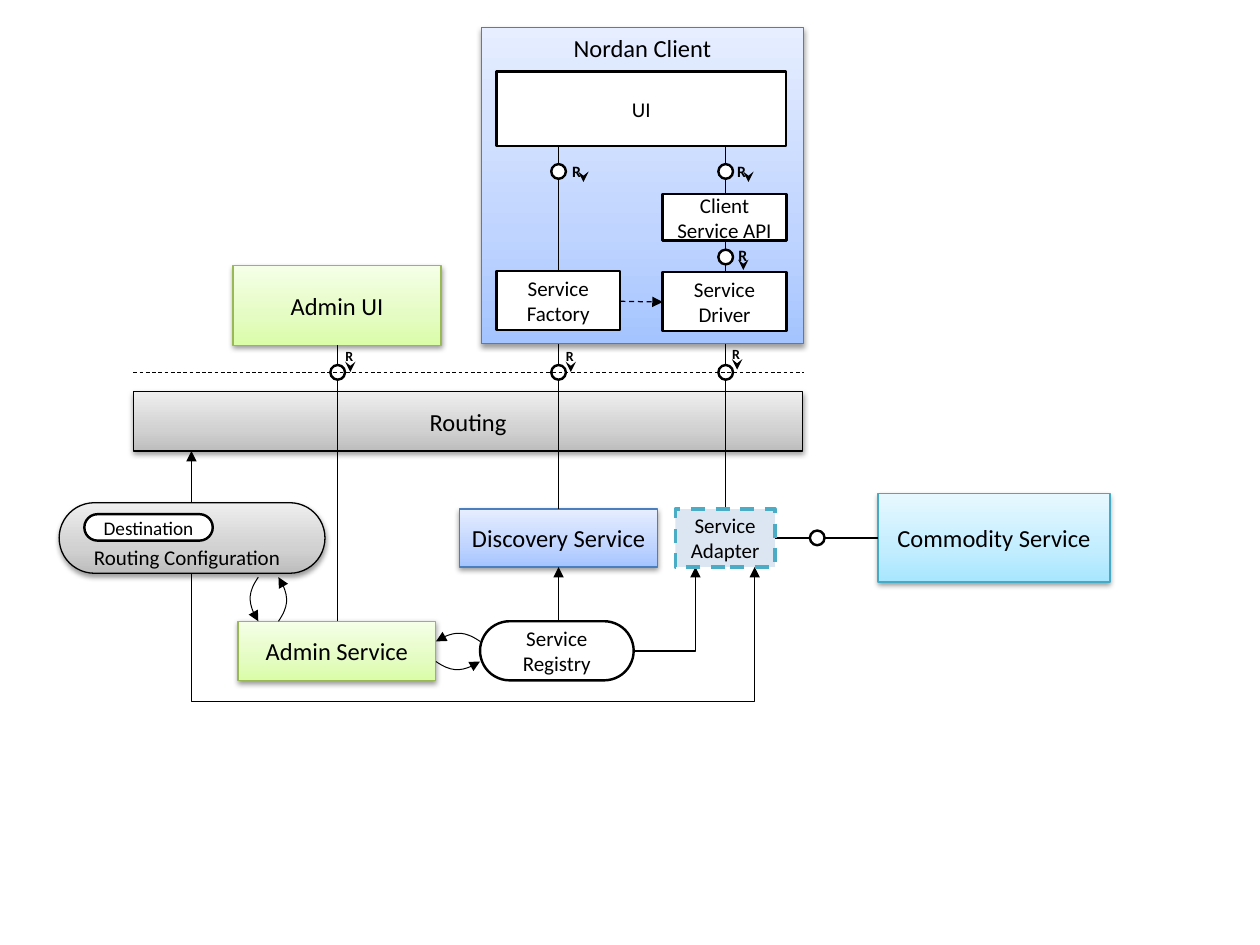
from dataclasses import dataclass
from math import hypot

from lxml.etree import SubElement
from pptx import Presentation
from pptx.dml.color import RGBColor
from pptx.enum.dml import MSO_LINE
from pptx.enum.shapes import MSO_CONNECTOR, MSO_SHAPE as Preset
from pptx.enum.text import MSO_ANCHOR as Anchor, PP_ALIGN as Align
from pptx.oxml.ns import qn
from pptx.util import Pt


@dataclass(frozen=True)
class Theme:
    font: str = "Calibri"
    ink: str = "000000"
    white: str = "FFFFFF"
    pale: str = "DCE6F2"
    teal: str = "4BACC6"
    # Gradient stops from bottom to top, then the outline
    gray: tuple = ("BDBDBD", "D1D1D1", "EEEEEE", "000000")
    green: tuple = ("DAFDA7", "E4FCC2", "F5FFE7", "98B955")
    cyan: tuple = ("A7E6FF", "C1EDFF", "E7F8FF", "46AAC5")
    blue: tuple = ("A4C4FF", "BFD4FF", "E6EEFF", "4B7EBC")
    title: int = 14
    label: int = 12
    small: int = 11
    request: int = 9
    request_small: int = 8
    thin: float = 0.7
    port: float = 1.4


class Diagram:
    port_radius = 4.2

    def __init__(self, page, theme):
        self.shapes = page.shapes
        self.theme = theme

    def set_text(self, box, text, size, bold=False, align=Align.CENTER):
        para = box.text_frame.paragraphs[0]
        para.text = text
        para.alignment = align
        font = para.font
        font.name, font.size, font.bold = self.theme.font, Pt(size), bold
        font.color.rgb = RGBColor.from_string(self.theme.ink)

    def inset(self, box, margin):
        frame = box.text_frame
        frame.margin_left = frame.margin_right = Pt(margin)
        frame.margin_top = frame.margin_bottom = Pt(margin)

    def stroke(self, item, color, width, dash=None, arrow=None):
        item.line.color.rgb = RGBColor.from_string(color)
        item.line.width = Pt(width)
        if dash:
            item.line.dash_style = dash
        if arrow:
            outline = item._element.spPr.find(qn("a:ln"))
            SubElement(outline, qn("a:tailEnd"), type=arrow)

    def box(self, left, top, width, height, text="", size=None, fill=None,
            line=None, weight=1.5, dash=None, preset=Preset.RECTANGLE):
        theme = self.theme
        box = self.shapes.add_shape(preset, Pt(left), Pt(top), Pt(width), Pt(height))
        box.shadow.inherit = False
        box.fill.solid()
        box.fill.fore_color.rgb = RGBColor.from_string(fill or theme.white)
        self.stroke(box, line or theme.ink, weight, dash)
        if preset == Preset.ROUNDED_RECTANGLE:
            box.adjustments[0] = 0.5
        if text:
            self.inset(box, 2.9)
            self.set_text(box, text, size or theme.label)
        return box

    def panel(self, left, top, width, height, text, palette, preset=Preset.RECTANGLE):
        """Box with a vertical gradient and a soft shadow."""
        *colors, line = palette
        box = self.box(left, top, width, height, text, self.theme.title,
                       line=line, weight=0.75, preset=preset)
        box.fill.gradient()
        box.fill.gradient_angle = 90
        properties = box._element.spPr
        stops = properties.find(qn("a:gradFill")).find(qn("a:gsLst"))
        stops.clear()
        for position, color in zip((0, 35000, 100000), colors):
            stop = SubElement(stops, qn("a:gs"), pos=str(position))
            SubElement(stop, qn("a:srgbClr"), val=color)
        shadow = SubElement(properties.find(qn("a:effectLst")), qn("a:outerShdw"),
                            blurRad=str(Pt(3.1)), dist=str(Pt(1.6)),
                            dir="5400000", rotWithShape="0")
        shade = SubElement(shadow, qn("a:srgbClr"), val=self.theme.ink)
        SubElement(shade, qn("a:alpha"), val="38000")
        return box

    def caption(self, left, top, width, height, text, size, margin=None, **style):
        box = self.shapes.add_textbox(Pt(left), Pt(top), Pt(width), Pt(height))
        box.text_frame.word_wrap = True
        if margin is not None:
            self.inset(box, margin)
        self.set_text(box, text, size, **style)

    def line(self, start, end, arrow=None, dash=None, width=None,
             kind=MSO_CONNECTOR.STRAIGHT):
        line = self.shapes.add_connector(kind, *map(Pt, (*start, *end)))
        self.stroke(line, self.theme.ink, width or self.theme.thin, dash, arrow)
        SubElement(line._element.spPr, qn("a:effectLst"))
        return line

    def corner(self, start, end):
        """Arrow that runs across, then turns once."""
        line = self.line(start, end, "triangle", kind=MSO_CONNECTOR.ELBOW)
        line._element.spPr.find(qn("a:prstGeom")).set("prst", "bentConnector2")

    def detour(self, start, end, low):
        """Arrow that drops to the height low, runs across and rises."""
        (x1, y1), (x2, y2) = start, end
        cx, cy, dx, dy = (x1 + x2) / 2, (y1 + y2) / 2, (x2 - x1) / 2, (y2 - y1) / 2
        line = self.line((cx - dy, cy + dx), (cx + dy, cy - dx), "triangle",
                         kind=MSO_CONNECTOR.ELBOW)
        properties = line._element.spPr
        properties.find(qn("a:xfrm")).set("rot", "5400000")
        guides = properties.find(qn("a:prstGeom")).find(qn("a:avLst"))
        share = round((low - y1) / (y2 - y1) * 100000)
        SubElement(guides, qn("a:gd"), name="adj1", fmla=f"val {share}")

    def bow(self, start, end, bulge=5.8):
        """Curved arrow that swings out to the right of its direction."""
        (x1, y1), (x2, y2) = start, end
        dx, dy = x2 - x1, y2 - y1
        length = hypot(dx, dy)
        points = [(x1 + dx * part - dy / length * bulge,
                   y1 + dy * part + dx / length * bulge) for part in (1 / 3, 2 / 3)]
        builder = self.shapes.build_freeform(Pt(x1), Pt(y1))
        builder.add_line_segments([(Pt(x), Pt(y)) for x, y in (*points, end)], close=False)
        arc = builder.convert_to_shape()
        arc.shadow.inherit = False
        arc.fill.background()
        self.stroke(arc, self.theme.ink, 0.57, arrow="triangle")
        outline = next(arc._element.iter(qn("a:path")))
        segments = outline.findall(qn("a:lnTo"))
        curve = SubElement(outline, qn("a:cubicBezTo"))
        for segment in segments:
            curve.append(segment[0])
            outline.remove(segment)

    def channel(self, start, port, end):
        """Line from start to end, broken by a round port."""
        x, y = port
        radius = self.port_radius
        for ex, ey in (start, end):
            share = radius / hypot(ex - x, ey - y)
            self.line((ex, ey), (x + (ex - x) * share, y + (ey - y) * share))
        self.box(x - radius, y - radius, 2 * radius, 2 * radius,
                 weight=self.theme.port, preset=Preset.FLOWCHART_CONNECTOR)

    def request(self, left, top, size, across=2.9, down=9.3):
        """Letter R with a small arrow that points down."""
        x, y = left + across, top + down
        self.line((x, y), (x, y + 4.6), "stealth")
        self.caption(left, top, 6.5, size * 1.2, "R", size, margin=0,
                     bold=True, align=Align.LEFT)


def main():
    deck = Presentation()
    deck.slide_width, deck.slide_height = Pt(720), Pt(540)
    theme = Theme()
    draw = Diagram(deck.slides.add_slide(deck.slide_layouts[6]), theme)
    pill = Preset.ROUNDED_RECTANGLE
    admin_x, factory_x, driver_x, config_x = 193, 319.2, 414.7, 109.4
    border_y, adapter_y, service_y = 212.8, 307.4, 355
    adapter_top, adapter_bottom = 290.9, 324

    # Services and their stores
    draw.panel(76.3, 223.9, 382.3, 33.8, "Routing", theme.gray)
    draw.panel(133.2, 151.9, 118.8, 45.4, "Admin UI", theme.green)
    draw.panel(501.8, 282.2, 132.5, 50.4, "Commodity Service", theme.cyan)
    draw.panel(33.8, 287.3, 151.9, 40.3, "", theme.gray, pill)
    draw.box(48.2, 293.8, 73.4, 15.1, "Destination", theme.small,
             weight=theme.port, preset=pill)
    draw.caption(33.8, 307.4, 146.2, 21.6, "Routing Configuration", theme.label)
    draw.box(274.3, service_y, 87.8, 33.8, "Service Registry",
             weight=theme.port, preset=pill)
    draw.panel(136.1, service_y, 113, 33.8, "Admin Service", theme.green)
    draw.panel(262.8, adapter_top, 113, 33.1, "Discovery Service", theme.blue)

    # Calls across the border
    for x, top, bottom in ((driver_x, 189.4, adapter_top),
                           (factory_x, 189.4, adapter_top),
                           (admin_x, 197.3, service_y)):
        draw.channel((x, top), (x, border_y), (x, bottom))
    draw.line((76.3, border_y), (459.2, border_y), dash=MSO_LINE.DASH, width=0.5)
    draw.channel((442.8, adapter_y), (467, adapter_y), (501.8, adapter_y))
    for left, top in ((197.3, 198.7), (323.3, 198.7), (418.3, 197.3)):
        draw.request(left, top, theme.request_small)

    # Reads and updates
    draw.line((factory_x, service_y), (factory_x, adapter_bottom), "triangle")
    draw.line((config_x, 287.3), (config_x, 257.7), "triangle")
    for start, end in (((274.3, 366.5), (249.1, 366.5)),
                       ((249.1, 378), (274.3, 378)),
                       ((147.6, 329.8), (147.6, service_y)),
                       ((159.1, service_y), (159.1, 329.8))):
        draw.bow(start, end)
    draw.detour((config_x, 327.6), (431.3, adapter_bottom), 401)
    draw.corner((362.5, 372), (397.4, adapter_bottom))
    draw.box(385.9, adapter_top, 56.9, 33.1, "Service Adapter", fill=theme.pale,
             line=theme.teal, weight=2, dash=MSO_LINE.DASH)

    # Client
    client = draw.panel(275, 15.8, 184.3, 180.7, "Nordan Client", theme.blue)
    client.text_frame.vertical_anchor = Anchor.TOP
    draw.box(283.7, 41, 165.6, 42.5, "UI")
    draw.box(378.7, 110.9, 70.6, 26.6, "Client Service API")
    draw.box(378.7, 155.5, 70.6, 33.8, "Service Driver")
    draw.box(283.7, 154.8, 70.6, 33.8, "Service Factory")
    draw.line((354.6, 172.2), (378.7, 172.6), "triangle", MSO_LINE.DASH)
    for x, top, port, bottom in ((driver_x, 83.5, 98, 110.9),
                                 (driver_x, 137.5, 146.9, 155.5),
                                 (factory_x, 83.5, 98, 154.8)):
        draw.channel((x, top), (x, port), (x, bottom))
    for left in (421.2, 326.9):
        draw.request(left, 92.2, theme.request, across=6.5, down=7.2)
    draw.request(421.9, 140.4, theme.request)

    deck.save("out.pptx")


if __name__ == "__main__":
    main()
